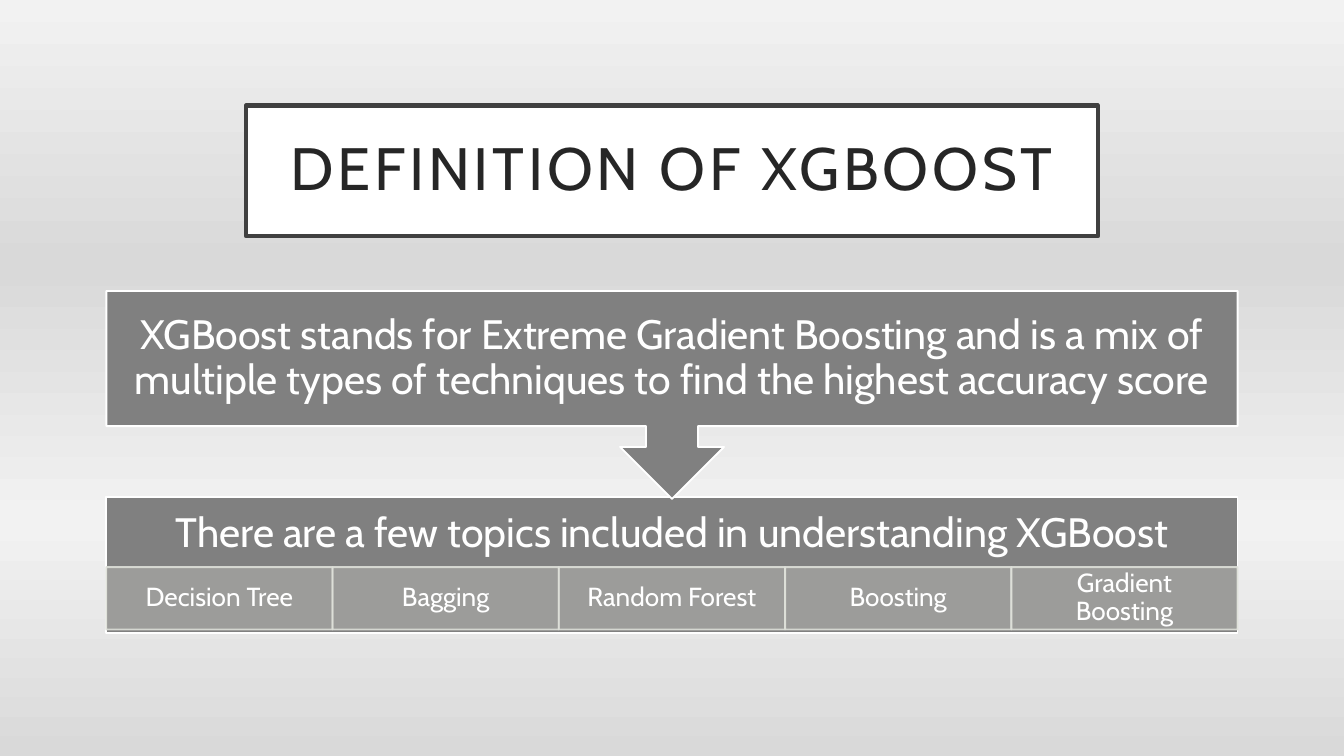
from lxml import etree
from pptx import Presentation
from pptx.dml.color import RGBColor
from pptx.enum import shapes, text
from pptx.oxml import ns
from pptx.util import Cm, Pt

# Content
TITLE = "DEFINITION OF XGBOOST"
LEAD = ("XGBoost stands for Extreme Gradient Boosting and is a mix of "
        "multiple types of techniques to find the highest accuracy score")
HEAD = "There are a few topics included in understanding XGBoost"
TOPICS = ["Decision Tree", "Bagging", "Random Forest", "Boosting", "Gradient Boosting"]

# Theme: colours, type sizes in points
THEME = {
    "font": "Cabin", "ink": "262626", "frame": "404040", "light": "FFFFFF",
    "block": "808080", "cell": "DEE0D9",
    "title": 32, "body": 22, "topic": 14,
    "back": [(0, "F2F2F2"), (35, "D9D9D9"), (69, "F2F2F2"), (100, "D9D9D9")],
}

# Layout in cm
LEFT, WIDE = 2.01, 21.38
LEAD_TOP, LEAD_H, LEAD_TEXT = 5.5, 3.93, 2.56
PANEL_TOP, PANEL_H, HEAD_H = 9.4, 2.56, 1.38
CELL_TOP, CELL_H = 10.72, 1.18


def rgb(name):
    return RGBColor.from_string(THEME.get(name, name))


def add(parent, tag, **attrs):
    return etree.SubElement(parent, ns.qn(tag), {k: str(v) for k, v in attrs.items()})


def write(shape, words, size="body", color="light", pad=(0.43, 0.43), track=None):
    """Put one centred paragraph into a shape; pad is (sides, top and bottom)."""
    frame = shape.text_frame
    frame.word_wrap = True
    frame.auto_size = text.MSO_AUTO_SIZE.NONE
    frame.vertical_anchor = text.MSO_ANCHOR.MIDDLE
    frame.margin_left = frame.margin_right = Cm(pad[0])
    frame.margin_top = frame.margin_bottom = Cm(pad[1])
    para = frame.paragraphs[0]
    para.alignment = text.PP_ALIGN.CENTER
    para.line_spacing = 0.9
    para.space_before = para.space_after = Pt(0)
    run = para.add_run()
    run.text = words
    run.font.name = THEME["font"]
    run.font.size = Pt(THEME[size])
    run.font.color.rgb = rgb(color)
    if track:
        run.font._element.set("spc", str(track * 100))


def paint(shape, fill, line, width=1, alpha=None):
    """Set fill and line; alpha is the (fill, line) opacity in percent."""
    shape.fill.solid()
    shape.fill.fore_color.rgb = rgb(fill)
    shape.line.color.rgb = rgb(line)
    shape.line.width = Pt(width)
    if alpha:
        for color, part in zip(shape._element.spPr.iter(ns.qn("a:srgbClr")), alpha):
            add(color, "a:alpha", val=part * 1000)


def block(slide, kind, box, **look):
    shape = slide.shapes.add_shape(kind, *map(Cm, box))
    shape.shadow.inherit = False
    paint(shape, **look)
    return shape


def label(slide, box, words):
    write(slide.shapes.add_textbox(*map(Cm, box)), words)


def shade(slide):
    """Fill the background with a vertical gradient of several stops."""
    fill = slide.background.fill
    fill.gradient()
    fill.gradient_angle = 270
    stops = slide._element.find(".//" + ns.qn("a:gsLst"))
    for old in list(stops):
        stops.remove(old)
    for pos, color in THEME["back"]:
        add(add(stops, "a:gs", pos=pos * 1000), "a:srgbClr", val=color)


def main():
    deck = Presentation()
    deck.slide_width, deck.slide_height = Cm(25.4), Cm(14.29)
    slide = deck.slides.add_slide(deck.slide_layouts[5])
    shade(slide)
    rect = shapes.MSO_SHAPE.RECTANGLE

    # Title in its frame
    title = slide.shapes.title
    title.left, title.top, title.width, title.height = map(Cm, (4.65, 2, 16.1, 2.46))
    paint(title, "light", "frame", 2.5)
    write(title, TITLE, size="title", color="ink", pad=(0.5, 0.5), track=2)

    # Lower panel with its heading
    block(slide, rect, (LEFT, PANEL_TOP, WIDE, PANEL_H), fill="block", line="light")
    label(slide, (LEFT, PANEL_TOP, WIDE, HEAD_H), HEAD)

    # Row of topics
    step = WIDE / len(TOPICS)
    for i, topic in enumerate(TOPICS):
        cell = block(slide, rect, (LEFT + i * step, CELL_TOP, step, CELL_H),
                     fill="cell", line="cell", alpha=(30, 90))
        write(cell, topic, size="topic", pad=(0.28, 0.05))

    # Callout pointing down; its text stays upright in a box of its own
    lead = block(slide, shapes.MSO_SHAPE.UP_ARROW_CALLOUT,
                 (LEFT, LEAD_TOP, WIDE, LEAD_H), fill="block", line="light")
    lead.rotation = 180
    label(slide, (LEFT, LEAD_TOP, WIDE, LEAD_TEXT), LEAD)

    deck.save("out.pptx")


if __name__ == "__main__":
    main()
